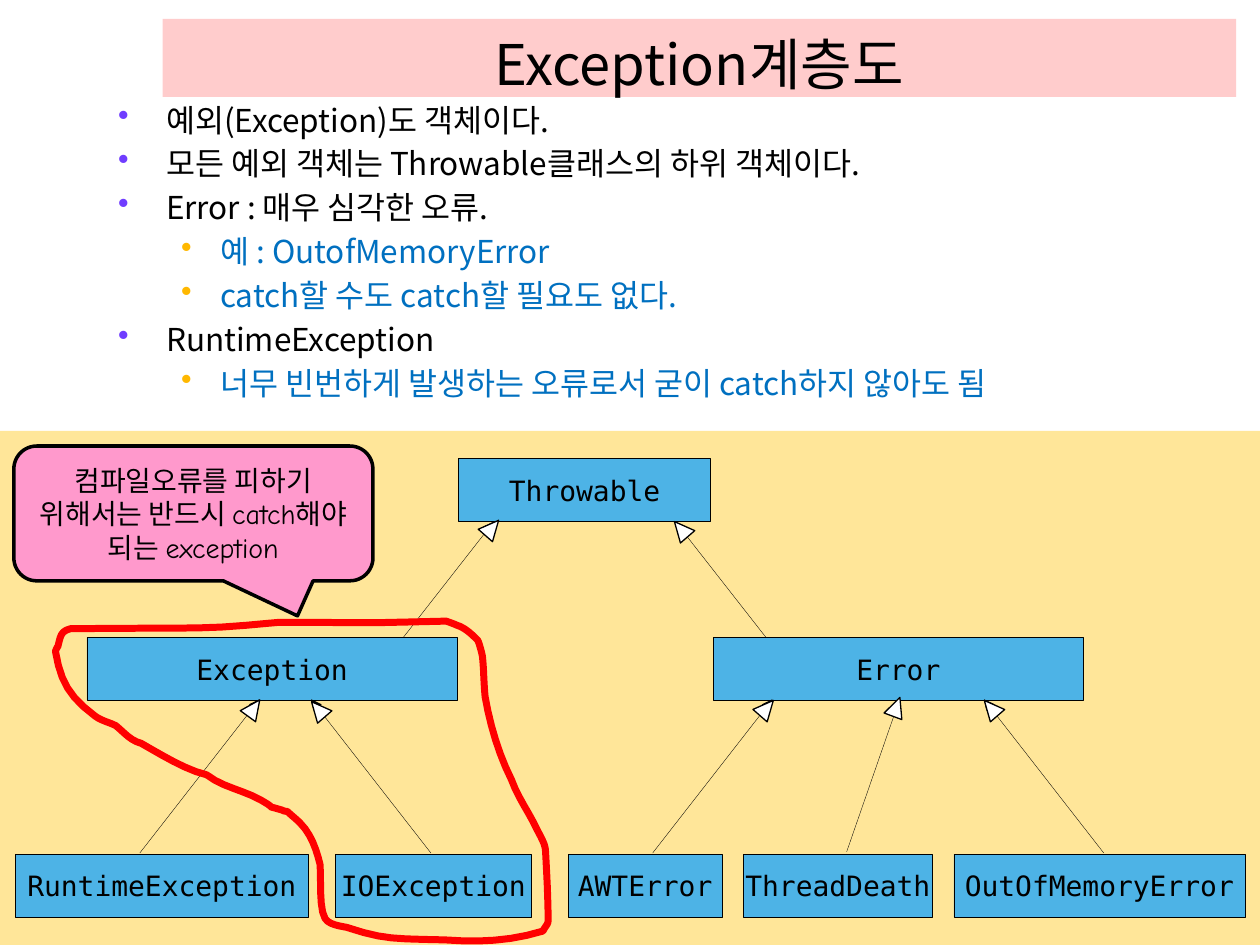
from lxml import etree
from pptx import Presentation
from pptx.dml.color import RGBColor
from pptx.enum.shapes import MSO_CONNECTOR, MSO_SHAPE
from pptx.enum.text import MSO_ANCHOR, PP_ALIGN
from pptx.oxml.ns import qn
from pptx.util import Inches, Pt

RECT = MSO_SHAPE.RECTANGLE
CALLOUT = MSO_SHAPE.ROUNDED_RECTANGULAR_CALLOUT
TRIANGLE = MSO_SHAPE.ISOSCELES_TRIANGLE
STRAIGHT = MSO_CONNECTOR.STRAIGHT
CENTER = PP_ALIGN.CENTER
LEFT = PP_ALIGN.LEFT
MIDDLE = MSO_ANCHOR.MIDDLE
BOTTOM = MSO_ANCHOR.BOTTOM

KOREAN = "Noto Sans CJK KR"
MONO = "DejaVu Sans Mono"
COMIC = "Comic Neue"
BLACK = "000000"

POINTS = [
    ("예외(Exception)도 객체이다.", 0),
    ("모든 예외 객체는 Throwable클래스의 하위 객체이다.", 0),
    ("Error : 매우 심각한 오류.", 0),
    ("예 : OutofMemoryError", 1),
    ("catch할 수도 catch할 필요도 없다.", 1),
    ("RuntimeException", 0),
    ("너무 빈번하게 발생하는 오류로서 굳이 catch하지 않아도 됨", 1),
]
LEVELS = [(0.38, -0.38, "703DFF", BLACK), (0.81, -0.31, "FFB800", "0070C0")]

CLASS_ROWS = [
    (3.64, [("Throwable", 3.64, 2)]),
    (5.06, [("Exception", 0.69, 2.94), ("Error", 5.66, 2.94)]),
    (6.78, [("RuntimeException", 0.12, 2.33), ("IOException", 2.66, 1.56),
            ("AWTError", 4.51, 1.22), ("ThreadDeath", 5.9, 1.5),
            ("OutOfMemoryError", 7.57, 2.31)]),
]
INHERITANCE = [
    ((3.2, 5.06), (3.92, 4.14), (3.83, 4.11), 41.2),
    ((6.08, 5.06), (5.36, 4.14), (5.33, 4.12), 319.2),
    ((1.11, 6.77), (2.06, 5.55), (1.94, 5.54), 36),
    ((3.42, 6.77), (2.47, 5.55), (2.45, 5.55), 319.2),
    ((5.18, 6.77), (6.13, 5.55), (6.01, 5.54), 41.2),
    ((6.72, 6.76), (7.14, 5.55), (7.04, 5.53), 20.3),
    ((8.76, 6.77), (7.81, 5.55), (7.79, 5.54), 319.2),
]
LOOP_START = (2.21, 4.94)
LOOP_CURVES = [
    (1.58, 5, 1.71, 4.98, 0.56, 4.99), (0.48, 5.01, 0.48, 5.05, 0.46, 5.13),
    (0.45, 5.14, 0.44, 5.17, 0.44, 5.17), (0.48, 5.41, 0.55, 5.53, 0.75, 5.68),
    (0.8, 5.72, 0.86, 5.73, 0.92, 5.76), (0.99, 5.82, 1.04, 5.88, 1.12, 5.9),
    (1.28, 5.99, 1.47, 6.11, 1.64, 6.15), (1.77, 6.25, 1.93, 6.27, 2.07, 6.35),
    (2.23, 6.44, 2.07, 6.38, 2.24, 6.43), (2.25, 6.44, 2.28, 6.44, 2.28, 6.44),
    (2.31, 6.47, 2.35, 6.5, 2.38, 6.53), (2.47, 6.62, 2.51, 6.74, 2.54, 6.86),
    (2.55, 6.97, 2.53, 7.21, 2.58, 7.29), (2.61, 7.34, 2.7, 7.35, 2.75, 7.36),
    (3.05, 7.46, 3.14, 7.45, 3.53, 7.46), (3.8, 7.48, 4.05, 7.47, 4.31, 7.39),
    (4.32, 7.36, 4.35, 7.34, 4.35, 7.31), (4.35, 7.13, 4.34, 6.94, 4.33, 6.76),
    (4.33, 6.7, 4.29, 6.64, 4.26, 6.58), (4.2, 6.45, 4.11, 6.33, 4.06, 6.19),
    (3.96, 5.99, 3.89, 5.76, 3.85, 5.53), (3.84, 5.43, 3.84, 5.32, 3.83, 5.22),
    (3.83, 5.2, 3.8, 5.09, 3.79, 5.08), (3.75, 5.04, 3.69, 4.98, 3.62, 4.96),
    (3.6, 4.95, 3.54, 4.93, 3.54, 4.93), (2.71, 4.95, 3.15, 4.94, 2.21, 4.94),
]


def color(value):
    return RGBColor.from_string(value)


def curve_points(start, curves, steps=6):
    points = []
    for x1, y1, x2, y2, x3, y3 in curves:
        for step in range(1, steps + 1):
            t = step / steps
            u = 1 - t
            points.append(tuple(
                u**3 * a + 3 * u * u * t * b + 3 * u * t * t * c + t**3 * d
                for a, b, c, d in zip(start, (x1, y1), (x2, y2), (x3, y3))))
        start = (x3, y3)
    return points


class HierarchySlide:
    def __init__(self, deck):
        self.slide = deck.slides.add_slide(deck.slide_layouts[6])
        self.shapes = self.slide.shapes

    def paint(self, shape, fill=None, line=None, width=0.2):
        shape.shadow.inherit = False
        if fill:
            shape.fill.solid()
            shape.fill.fore_color.rgb = color(fill)
        else:
            shape.fill.background()
        if line:
            shape.line.color.rgb = color(line)
            shape.line.width = Pt(width)
        else:
            shape.line.fill.background()

    def shape(self, kind, at, fill, line=None, width=0.2):
        shape = self.shapes.add_shape(kind, *map(Inches, at))
        self.paint(shape, fill, line, width)
        return shape

    def add_text(self, paragraph, text, size, font, ink=BLACK, align=CENTER, leading=None):
        paragraph.alignment = align
        if leading:
            paragraph.line_spacing = Pt(leading)
        run = paragraph.add_run()
        run.text = text
        run.font.size = Pt(size)
        run.font.name = font
        run.font.color.rgb = color(ink)
        east_asian = etree.SubElement(run._r.get_or_add_rPr(), qn("a:ea"))
        east_asian.set("typeface", KOREAN)

    def label(self, shape, text, size, font, anchor=MIDDLE, margin=0, leading=None):
        frame = shape.text_frame
        frame.word_wrap = True
        frame.vertical_anchor = anchor
        frame.margin_left = frame.margin_right = Inches(margin)
        frame.margin_top = frame.margin_bottom = Inches(margin / 2)
        self.add_text(frame.paragraphs[0], text, size, font, leading=leading)

    def bullets(self, at, points):
        frame = self.shapes.add_textbox(*map(Inches, at)).text_frame
        frame.word_wrap = True
        for index, (text, level) in enumerate(points):
            indent, hanging, bullet_ink, ink = LEVELS[level]
            paragraph = frame.add_paragraph() if index else frame.paragraphs[0]
            paragraph.level = level
            paragraph.space_before = Pt(3.6)
            self.add_text(paragraph, text, 18, KOREAN, ink, LEFT, 21.5)
            properties = paragraph._p.get_or_add_pPr()
            properties.set("marL", str(Inches(indent)))
            properties.set("indent", str(Inches(hanging)))
            bullet_color = etree.SubElement(properties, qn("a:buClr"))
            etree.SubElement(bullet_color, qn("a:srgbClr")).set("val", bullet_ink)
            etree.SubElement(properties, qn("a:buChar")).set("char", "•")

    def arrow(self, start, end):
        connector = self.shapes.add_connector(STRAIGHT, *map(Inches, start + end))
        connector.line.color.rgb = color(BLACK)
        connector.line.width = Pt(0.2)
        properties = connector._element.spPr
        outline = properties.find(qn("a:ln"))
        etree.SubElement(outline, qn("a:tailEnd")).set("type", "triangle")
        etree.SubElement(properties, qn("a:effectLst"))

    def loop(self, start, curves):
        builder = self.shapes.build_freeform(*map(Inches, start), scale=1.0)
        outline = [tuple(map(Inches, point)) for point in curve_points(start, curves)]
        builder.add_line_segments(outline, close=True)
        self.paint(builder.convert_to_shape(), line="FF0000", width=4)


def main():
    deck = Presentation()
    deck.slide_width, deck.slide_height = Inches(10), Inches(7.5)
    page = HierarchySlide(deck)

    title = page.shape(RECT, (1.29, 0.15, 8.52, 0.62), "FFCCCC")
    page.label(title, "Exception계층도", 32, KOREAN, BOTTOM, leading=38.4)

    page.shape(RECT, (0, 3.42, 10, 4.08), "FFE699")
    for top, classes in CLASS_ROWS:
        for name, left, width in classes:
            class_box = page.shape(RECT, (left, top, width, 0.5), "4DB3E6", BLACK)
            page.label(class_box, name, 16, MONO)
    for child, parent, _, _ in INHERITANCE:
        page.arrow(child, parent)

    page.bullets((0.84, 0.75, 9.23, 6.28), POINTS)

    advice = page.shape(CALLOUT, (0.11, 3.54, 2.85, 1.07), "FF99CC", BLACK, 2)
    for index, value in enumerate((0.29, 0.76, 0.17)):
        advice.adjustments[index] = value
    page.label(advice, "컴파일오류를 피하기 위해서는 반드시 catch해야 되는 exception",
               16, COMIC, margin=0.1, leading=19.2)

    page.loop(LOOP_START, LOOP_CURVES)
    for _, _, corner, angle in INHERITANCE:
        head = page.shape(TRIANGLE, corner + (0.15, 0.16), "FFFFFF", BLACK, 0.75)
        head.rotation = angle

    deck.save("out.pptx")


if __name__ == "__main__":
    main()
